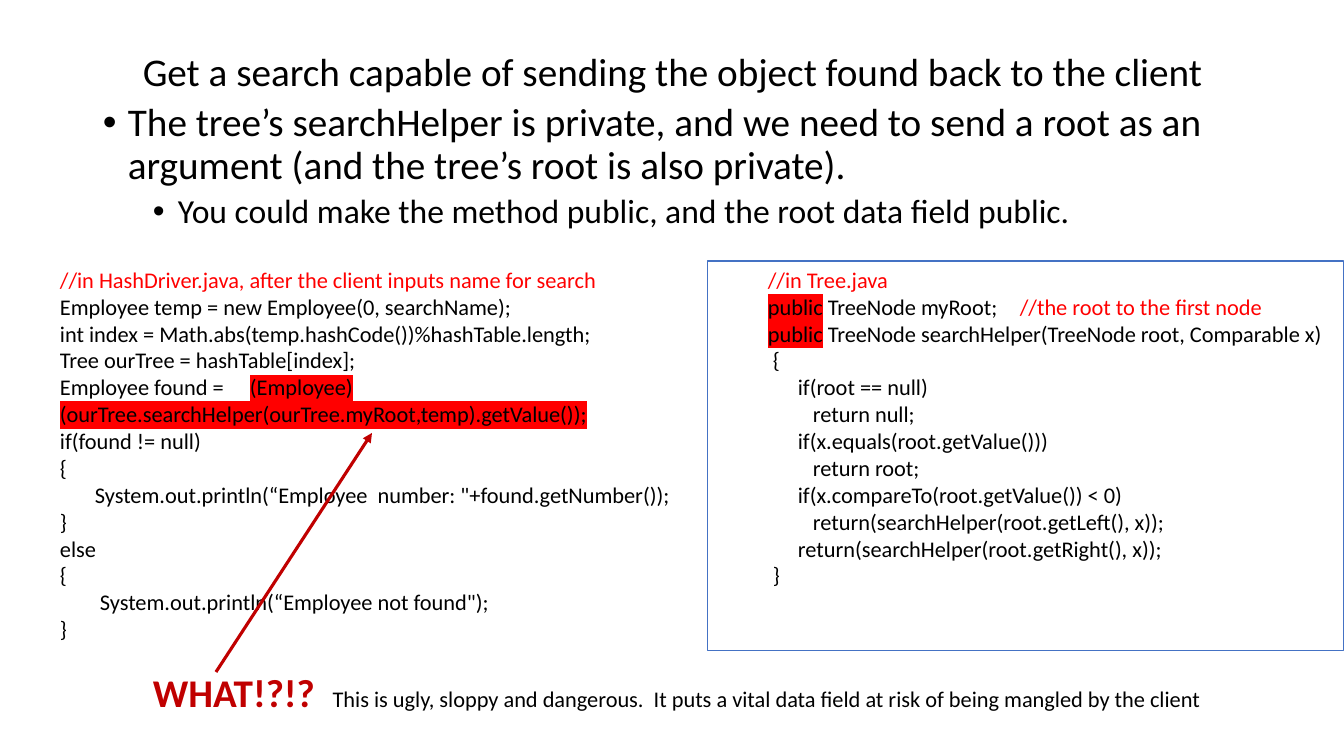
from pptx import Presentation
from pptx.dml.color import RGBColor as RGB
from pptx.enum.shapes import MSO_CONNECTOR as CONNECTOR, MSO_SHAPE as SHAPE
from pptx.enum.text import MSO_ANCHOR as ANCHOR, PP_ALIGN as ALIGN
from pptx.oxml.ns import qn
from pptx.util import Pt
from lxml.etree import SubElement

PX = 914400 / 100.8
THEME = {
    "font": "Calibri",
    "frame": RGB.from_string("4472C4"),
    "accent": RGB.from_string("C00000"),
    "mark": "FF0000",
    "styles": {
        "heading": {"size": 28, "color": "000000"},
        "point": {"size": 24, "color": "000000"},
        "code": {"size": 16, "color": "000000"},
        "comment": {"size": 16, "color": "FF0000"},
        "marked": {"size": 16, "color": "000000"},
        "shout": {"size": 28, "color": "C00000", "bold": True},
    },
}
INDENT = 50
SPACE = 5


def px(*lengths):
    return [round(length * PX) for length in lengths]


def write(box, paragraphs, **formats):
    """Fill a box with (indent, spans) paragraphs; spans are (text, style) pairs."""
    frame = box.text_frame
    frame.word_wrap = True
    for number, (indent, spans) in enumerate(paragraphs):
        para = frame.paragraphs[0] if number == 0 else frame.add_paragraph()
        para.alignment = ALIGN.LEFT
        for name, value in formats.items():
            setattr(para, name, value)
        para._p.get_or_add_pPr().set("marL", str(px(indent)[0]))
        for text, style_name in spans:
            style = THEME["styles"][style_name]
            span = para.add_run()
            span.text = text
            span.font.color.rgb = RGB.from_string(style["color"])
            font_values = {
                "name": THEME["font"],
                "size": Pt(style["size"]),
                "bold": style.get("bold", False),
            }
            for name, value in font_values.items():
                setattr(span.font, name, value)
            if style_name == "marked":
                properties = span._r.get_or_add_rPr()
                highlight = SubElement(properties, qn("a:highlight"))
                SubElement(highlight, qn("a:srgbClr"), val=THEME["mark"])
                properties.find(qn("a:solidFill")).addnext(highlight)


deck = Presentation()
deck.slide_width, deck.slide_height = px(1344, 756)
slide = deck.slides.add_slide(deck.slide_layouts[6])
shapes = slide.shapes

# Title
title = shapes.add_textbox(*px(93, 40, 1159, 67))
title.text_frame.vertical_anchor = ANCHOR.MIDDLE
write(
    title,
    [(0, [("Get a search capable of sending the object found back to the client", "heading")])],
    alignment=ALIGN.CENTER,
    line_spacing=0.9,
)

# Bullets
points = shapes.add_textbox(*px(93, 98, 1159, 150))
write(
    points,
    [
        (25, [("The tree’s searchHelper is private, and we need to send a root as an argument "
               "(and the tree’s root is also private).", "heading")]),
        (75, [("You could make the method public, and the root data field public.", "point")]),
    ],
    line_spacing=0.9,
)
for para, space_before in zip(points.text_frame.paragraphs, (10, 5)):
    para.space_before = Pt(space_before)
    properties = para._p.get_or_add_pPr()
    properties.set("indent", str(px(-25)[0]))
    SubElement(properties, qn("a:buFont"), typeface="Arial")
    SubElement(properties, qn("a:buChar"), char="•")

# Warning line
warning = shapes.add_textbox(*px(93, 669, 1159, 53))
write(
    warning,
    [(INDENT, [
        ("WHAT!?!?  ", "shout"),
        ("This is ugly, sloppy and dangerous.  It puts a vital data field at risk "
         "of being mangled by the client", "code"),
    ])],
    line_spacing=0.9,
)

# Code listings: (leading spaces, spans)
tree_code = [
    (0, [("//in Tree.java", "comment")]),
    (0, [("public", "marked"), (" TreeNode myRoot;\t", "code"),
         ("//the root to the first node", "comment")]),
    (0, [("public", "marked"), (" TreeNode searchHelper(TreeNode root, Comparable x)", "code")]),
    (1, [("{", "code")]),
    (6, [("if(root == null)", "code")]),
    (9, [("return null;", "code")]),
    (6, [("if(x.equals(root.getValue()))", "code")]),
    (9, [("return root;", "code")]),
    (6, [("if(x.compareTo(root.getValue()) < 0)", "code")]),
    (9, [("return(searchHelper(root.getLeft(), x));", "code")]),
    (6, [("return(searchHelper(root.getRight(), x));", "code")]),
    (1, [("}", "code")]),
]
driver_code = [
    (0, [("//in HashDriver.java, after the client inputs name for search", "comment")]),
    (0, [("Employee temp = new Employee(0, searchName);", "code")]),
    (0, [("int index = Math.abs(temp.hashCode())%hashTable.length;", "code")]),
    (0, [("Tree ourTree = hashTable[index];", "code")]),
    (0, [("Employee found =\t", "code"),
         ("(Employee)(ourTree.searchHelper(ourTree.myRoot,temp).getValue());", "marked")]),
    (0, [("if(found != null)", "code")]),
    (0, [("{", "code")]),
    (7, [("System.out.println(“Employee  number: \"+found.getNumber());", "code")]),
    (0, [("}", "code")]),
    (0, [("else", "code")]),
    (0, [("{", "code")]),
    (8, [("System.out.println(“Employee not found\");", "code")]),
    (0, [("}", "code")]),
]
tree_box = shapes.add_shape(SHAPE.RECTANGLE, *px(708, 261, 636, 390))
tree_box.shadow.inherit = False
tree_box.fill.background()
tree_box.line.color.rgb = THEME["frame"]
tree_box.line.width = Pt(0.75)
tree_box.text_frame.vertical_anchor = ANCHOR.TOP
driver_box = shapes.add_textbox(*px(0, 261, 765, 390))
for box, code in ((tree_box, tree_code), (driver_box, driver_code)):
    write(box, [(INDENT + SPACE * spaces, spans) for spaces, spans in code])

# Tab stop that sets the cast apart from the assignment
cast_line = driver_box.text_frame.paragraphs[4]
tab_list = SubElement(cast_line._p.get_or_add_pPr(), qn("a:tabLst"))
SubElement(tab_list, qn("a:tab"), pos=str(px(190)[0]), algn="l")

# Arrow from the warning to the exposed field
arrow = shapes.add_connector(CONNECTOR.STRAIGHT, *px(216, 672, 372, 433))
arrow.line.color.rgb = THEME["accent"]
arrow.line.width = Pt(2.25)
SubElement(arrow.line._get_or_add_ln(), qn("a:tailEnd"), type="triangle")
SubElement(arrow._element.spPr, qn("a:effectLst"))

deck.save("out.pptx")
